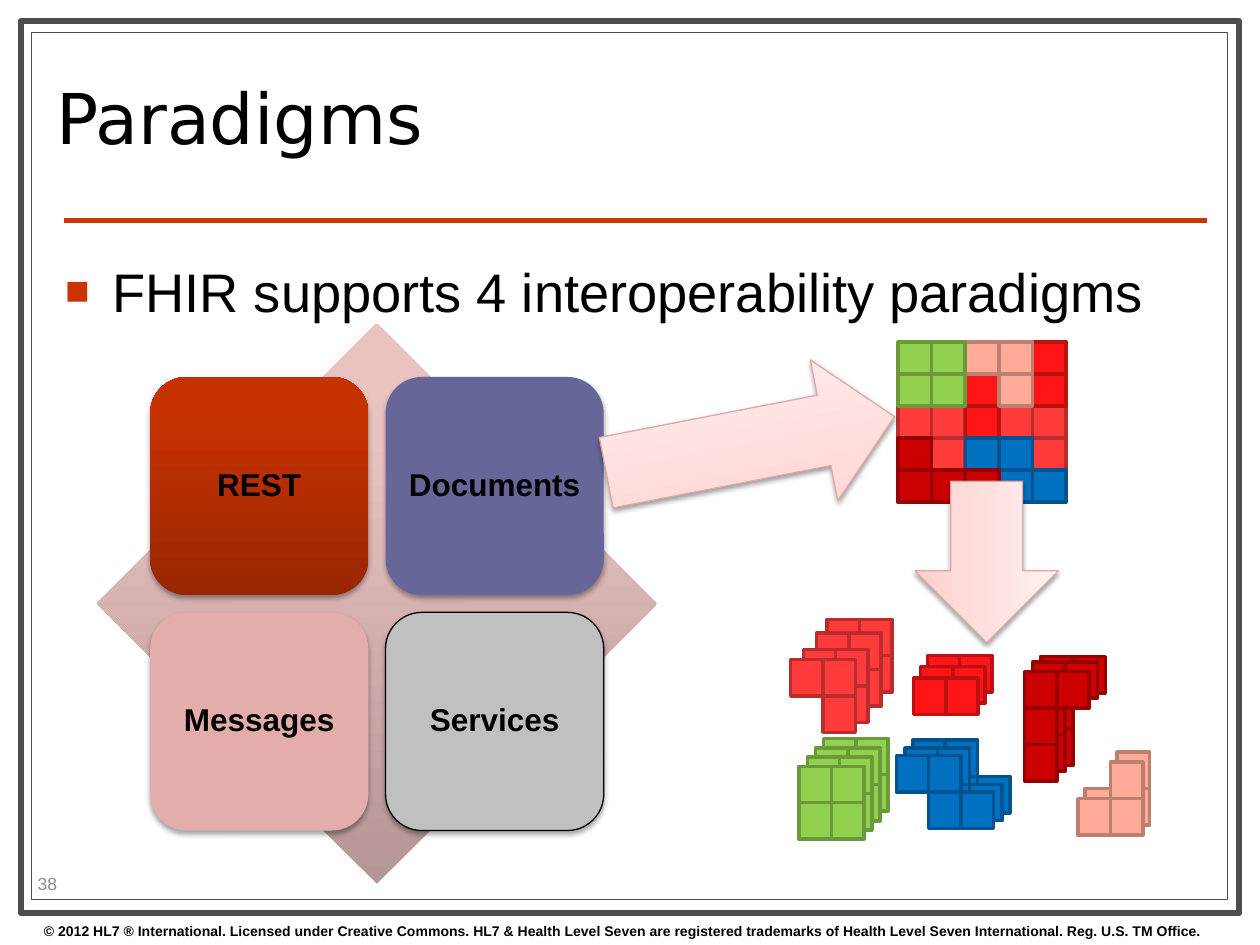
from copy import deepcopy

from lxml.etree import SubElement
from pptx import Presentation
from pptx.dml.color import RGBColor
from pptx.enum.shapes import MSO_CONNECTOR, MSO_SHAPE
from pptx.enum.text import MSO_ANCHOR, PP_ALIGN
from pptx.oxml.ns import qn
from pptx.util import Pt

COLORS = {
    "black": "000000", "white": "FFFFFF", "frame": "4D4D4D", "accent": "CC3300",
    "number": "8C8C8C", "documents": "666699", "messages": "E2ADAA",
    "services": "C0C0C0", "arrow edge": "DEA8A5",
    "coral": "FF3B3B", "coral edge": "BD2C2C", "red": "FF1515", "red edge": "BD1010",
    "peach": "FFAB97", "peach edge": "BD7F70", "green": "92D050", "green edge": "6C9A3B",
    "blue": "0070C0", "blue edge": "00538E", "dark": "CC0000", "dark edge": "970000",
}
GRADIENTS = {
    "diamond": [(0, "B49695"), (0.8, "EAC3C1"), (1, "ECC3C1")],
    "rest": [(0, "982600"), (0.8, "C63100"), (1, "C73200")],
    "arrow": [(0, "FFCECC"), (0.35, "FFDCDA"), (1, "FFF1F1")],
}
TILES = [("REST", "rest", None), ("Documents", "documents", None),
         ("Messages", "messages", None), ("Services", "services", "black")]
RESOURCE_GRID = ["GGPPR", "GGRPR", "CCRCC", "DCBBC", "DDDBB"]
RESOURCE_KEYS = {"C": "coral", "R": "red", "P": "peach", "G": "green", "B": "blue", "D": "dark"}
STACKS = [
    ("red", [(0, 0), (1, 0)], [(529.9, 374.6), (526, 381), (522, 387.4)]),
    ("peach", [(0, 1), (1, 0), (1, 1)], [(619.9, 429.8), (616.1, 435.6)]),
    ("blue", [(1, 0), (0, 0), (1, 1), (2, 1)], [(521.6, 423), (517.1, 427.4), (512.2, 431.8)]),
    ("dark", [(0, 0), (0, 1), (1, 0), (0, 2)], [(594.7, 375.1), (590.2, 378.2), (585.4, 383.8)]),
    ("coral", [(1, 1), (0, 0), (1, 0)],
     [(472.7, 353.9), (466.6, 361.8), (459, 371.2), (451.8, 376.9)]),
    ("green", [(1, 0), (1, 1), (0, 0), (0, 1)],
     [(470.6, 421.9), (466, 427.5), (461.3, 432.7), (456.6, 437.9)]),
]


class SlideBuilder:
    """Holds the deck style and draws elements on the current slide."""

    def __init__(self, slide, font="Arial"):
        self.slide = slide
        self.font = font

    def color(self, name):
        return RGBColor.from_string(COLORS[name])

    def shape(self, kind, box, fill, edge=None, weight=0.75, rotation=0, shadow=None):
        shape = self.slide.shapes.add_shape(kind, *map(Pt, box))
        shape.rotation = rotation
        if fill in GRADIENTS:
            self.gradient(shape, GRADIENTS[fill])
        else:
            shape.fill.solid()
            shape.fill.fore_color.rgb = self.color(fill)
        if edge:
            shape.line.color.rgb = self.color(edge)
            shape.line.width = Pt(weight)
        else:
            shape.line.fill.background()
        shape.shadow.inherit = False
        if shadow:
            self.drop_shadow(shape, *shadow)
        return shape

    def gradient(self, shape, stops):
        shape.fill.gradient()
        shape.fill.gradient_angle = 90
        stop_list = next(shape.element.iter(qn("a:gsLst")))
        stop_list.append(deepcopy(stop_list[0]))
        for stop, (position, tint) in zip(shape.fill.gradient_stops, stops):
            stop.position = position
            stop.color.rgb = RGBColor.from_string(tint)

    def drop_shadow(self, shape, opacity, distance):
        effects = next(shape.element.iter(qn("a:effectLst")))
        outer = SubElement(effects, qn("a:outerShdw"), blurRad=str(Pt(3.1)),
                           dist=str(Pt(distance)), dir="5400000", rotWithShape="0")
        tint = SubElement(outer, qn("a:srgbClr"), val=COLORS["black"])
        SubElement(tint, qn("a:alpha"), val=str(opacity * 1000))

    def rule(self, start, end, color, weight):
        rule = self.slide.shapes.add_connector(MSO_CONNECTOR.STRAIGHT, *map(Pt, start + end))
        rule.line.color.rgb = self.color(color)
        rule.line.width = Pt(weight)
        SubElement(rule.element.spPr, qn("a:effectLst"))

    def fill_text(self, frame, text, size, color="black", bold=False, font=None):
        frame.word_wrap = True
        paragraph = frame.paragraphs[0]
        run = paragraph.add_run()
        run.text = text
        run.font.size = Pt(size)
        run.font.bold = bold
        run.font.name = font or self.font
        run.font.color.rgb = self.color(color)
        return paragraph

    def text(self, box, text, size, anchor=MSO_ANCHOR.TOP, **style):
        frame = self.slide.shapes.add_textbox(*map(Pt, box)).text_frame
        frame.vertical_anchor = anchor
        return self.fill_text(frame, text, size, **style)

    def bullet(self, box, text, size):
        properties = self.text(box, text, size)._p.get_or_add_pPr()
        properties.set("marL", str(Pt(27)))
        properties.set("indent", str(Pt(-27)))
        tint = SubElement(properties, qn("a:buClr"))
        SubElement(tint, qn("a:srgbClr"), val=COLORS["accent"])
        SubElement(properties, qn("a:buSzPct"), val="75000")
        SubElement(properties, qn("a:buFont"), typeface=self.font)
        SubElement(properties, qn("a:buChar"), char="■")

    def tile(self, box, label, fill, edge):
        tile = self.shape(MSO_SHAPE.ROUNDED_RECTANGLE, box, fill, edge, shadow=(35, 1.8))
        frame = tile.text_frame
        frame.margin_left = frame.margin_right = Pt(5)
        frame.vertical_anchor = MSO_ANCHOR.MIDDLE
        paragraph = self.fill_text(frame, label, 18, bold=True)
        paragraph.alignment = PP_ALIGN.CENTER
        paragraph.line_spacing = 0.9

    def block(self, corner, cell, size, resource):
        box = [start + step * length for start, step, length in zip(corner, cell, size)]
        self.shape(MSO_SHAPE.RECTANGLE, (*box, *size), resource, f"{resource} edge", 2)

    def arrow(self, box, rotation):
        self.shape(MSO_SHAPE.RIGHT_ARROW, box, "arrow", "arrow edge",
                   rotation=rotation, shadow=(38, 1.6))


def main():
    deck = Presentation()
    deck.slide_width, deck.slide_height = Pt(720), Pt(540)
    page = SlideBuilder(deck.slides.add_slide(deck.slide_layouts[6]))

    page.shape(MSO_SHAPE.RECTANGLE, (12, 12, 696, 510), "white", "frame", 3.5)
    page.shape(MSO_SHAPE.RECTANGLE, (18.2, 18.6, 683.5, 495.4), "white", "frame")
    page.rule((36.5, 126), (690, 126), "accent", 3)
    page.text((18, 523.5, 720, 16.5),
              "© 2012 HL7 ® International. Licensed under Creative Commons. HL7 & Health Level "
              "Seven are registered trademarks of Health Level Seven International. "
              "Reg. U.S. TM Office.", 8, bold=True)
    title = page.text((25.2, 26, 516, 90.7), "Paradigms", 40, MSO_ANCHOR.MIDDLE,
                      font="DejaVu Sans")
    title.line_spacing = 0.8
    page.bullet((30.2, 144, 660, 353), "FHIR supports 4 interoperability paradigms", 31)
    page.text((14.4, 496, 57, 17.3), "38", 10, MSO_ANCHOR.MIDDLE, color="number")

    page.shape(MSO_SHAPE.DIAMOND, (55.4, 185, 320, 320), "diamond")
    for index, (label, fill, edge) in enumerate(TILES):
        row, column = divmod(index, 2)
        page.tile((85.8 + 134.5 * column, 215.4 + 134.5 * row, 124.7, 124.7), label, fill, edge)

    for key, resource in RESOURCE_KEYS.items():
        for row, keys in enumerate(RESOURCE_GRID):
            for column, cell_key in enumerate(keys):
                if cell_key == key:
                    page.block((513.2, 195.5), (column, row), (19.2, 18.3), resource)

    for resource, cells, corners in STACKS:
        for corner in corners:
            for cell in cells:
                page.block(corner, cell, (18.5, 20.8), resource)

    page.arrow((344.9, 213.1, 167.8, 82), 349)
    page.arrow((517.7, 280.1, 92.2, 82), 90)
    deck.save("out.pptx")


if __name__ == "__main__":
    main()
